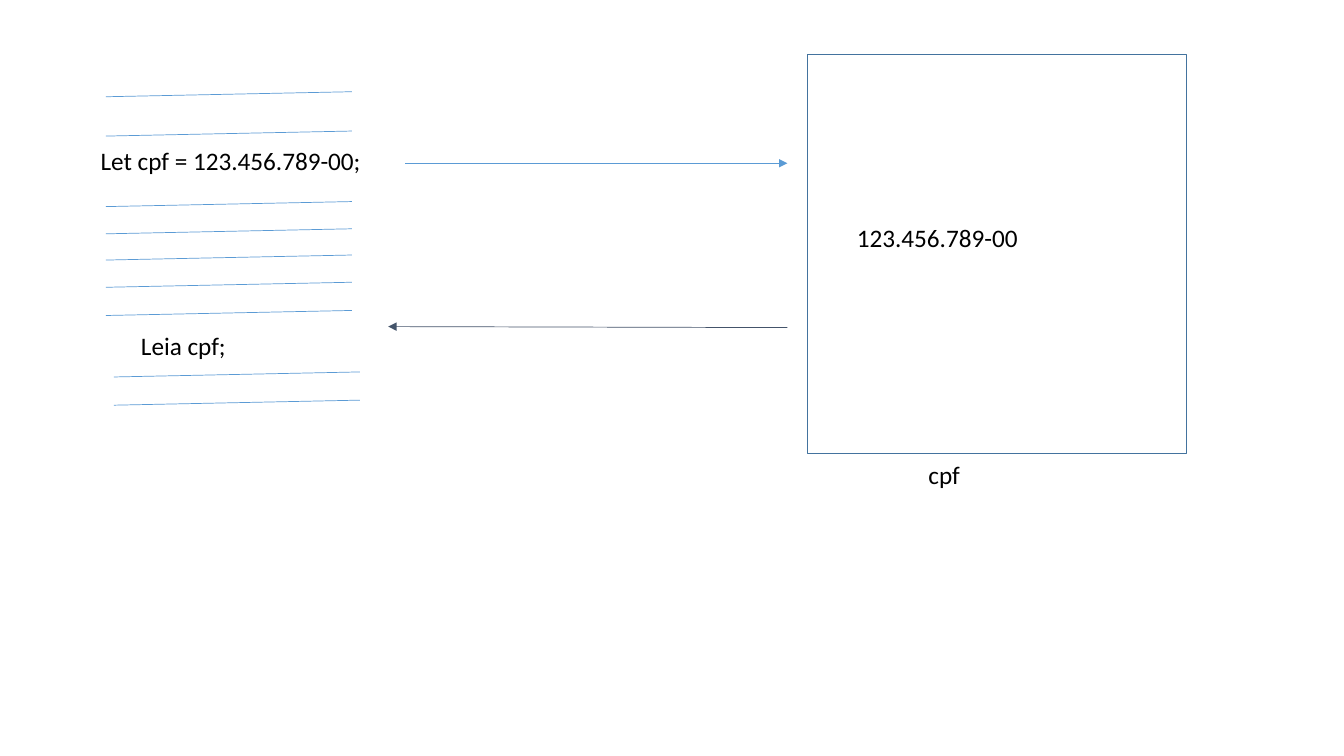
from lxml import etree
from pptx import Presentation
from pptx.dml.color import RGBColor
from pptx.enum.shapes import MSO_CONNECTOR, MSO_SHAPE
from pptx.enum.text import MSO_AUTO_SIZE
from pptx.oxml.ns import qn
from pptx.util import Inches, Pt

STRAIGHT = MSO_CONNECTOR.STRAIGHT
RECTANGLE = MSO_SHAPE.RECTANGLE
FIT_SHAPE = MSO_AUTO_SIZE.SHAPE_TO_FIT_TEXT
BLANK_LAYOUT = 6

COLORS = {
    "code": "5B9BD5",
    "read": "44546A",
    "memory": "43739E",
    "text": "000000",
}

CODE_LINE_WIDTH = 2.44
CODE_LINE_RISE = 0.05
# Left edge of each block of code lines, and the height where each line starts
CODE_BLOCKS = [
    (1.05, [0.96, 1.35]),
    (1.05, [2.05, 2.32, 2.58, 2.85, 3.13]),
    (1.13, [3.74, 4.02]),
]


def rgb(name):
    return RGBColor.from_string(COLORS[name])


def add_line(slide, start, end, color, arrow=False):
    points = [Inches(v) for v in (*start, *end)]
    line = slide.shapes.add_connector(STRAIGHT, *points)
    line.line.color.rgb = rgb(color)
    line.line.width = Pt(0.5)
    if arrow:
        etree.SubElement(line.line._get_or_add_ln(), qn("a:tailEnd"), type="triangle")
    etree.SubElement(line._element.spPr, qn("a:effectLst"))


def add_box(slide, left, top, width, height, color):
    sp = slide.shapes.add_shape(
        RECTANGLE, Inches(left), Inches(top), Inches(width), Inches(height))
    sp.shadow.inherit = False
    sp.fill.background()
    sp.line.color.rgb = rgb(color)
    sp.line.width = Pt(1)


def add_text(slide, text, left, top, width, height=0.4, size=18,
             font="Calibri", color="text"):
    sp = slide.shapes.add_textbox(
        Inches(left), Inches(top), Inches(width), Inches(height))
    tf = sp.text_frame
    tf.word_wrap = False
    tf.auto_size = FIT_SHAPE
    r = tf.paragraphs[0].add_run()
    r.text = text
    r.font.size = Pt(size)
    r.font.name = font
    r.font.color.rgb = rgb(color)


def main():
    prs = Presentation()
    prs.slide_width, prs.slide_height = Inches(13.33), Inches(7.5)
    slide = prs.slides.add_slide(prs.slide_layouts[BLANK_LAYOUT])

    # Program: slanted strokes stand for lines of code
    for left, tops in CODE_BLOCKS:
        for top in tops:
            end = (left + CODE_LINE_WIDTH, top - CODE_LINE_RISE)
            add_line(slide, (left, top), end, "code")

    # Writing to and reading from memory
    add_line(slide, (4.02, 1.62), (7.81, 1.62), "code", arrow=True)
    add_line(slide, (7.81, 3.25), (3.85, 3.24), "read", arrow=True)

    # Memory cell with its name and value
    add_box(slide, 8.01, 0.54, 3.76, 3.96, "memory")
    add_text(slide, "cpf", 9.11, 4.51, 0.52)
    add_text(slide, "123.456.789-00", 8.4, 2.16, 1.81)

    # Statements of the program
    add_text(slide, "Let cpf = 123.456.789-00;", 0.9, 1.39, 2.81)
    add_text(slide, "Leia cpf;", 1.3, 3.23, 1.06)

    prs.save("out.pptx")


if __name__ == "__main__":
    main()
